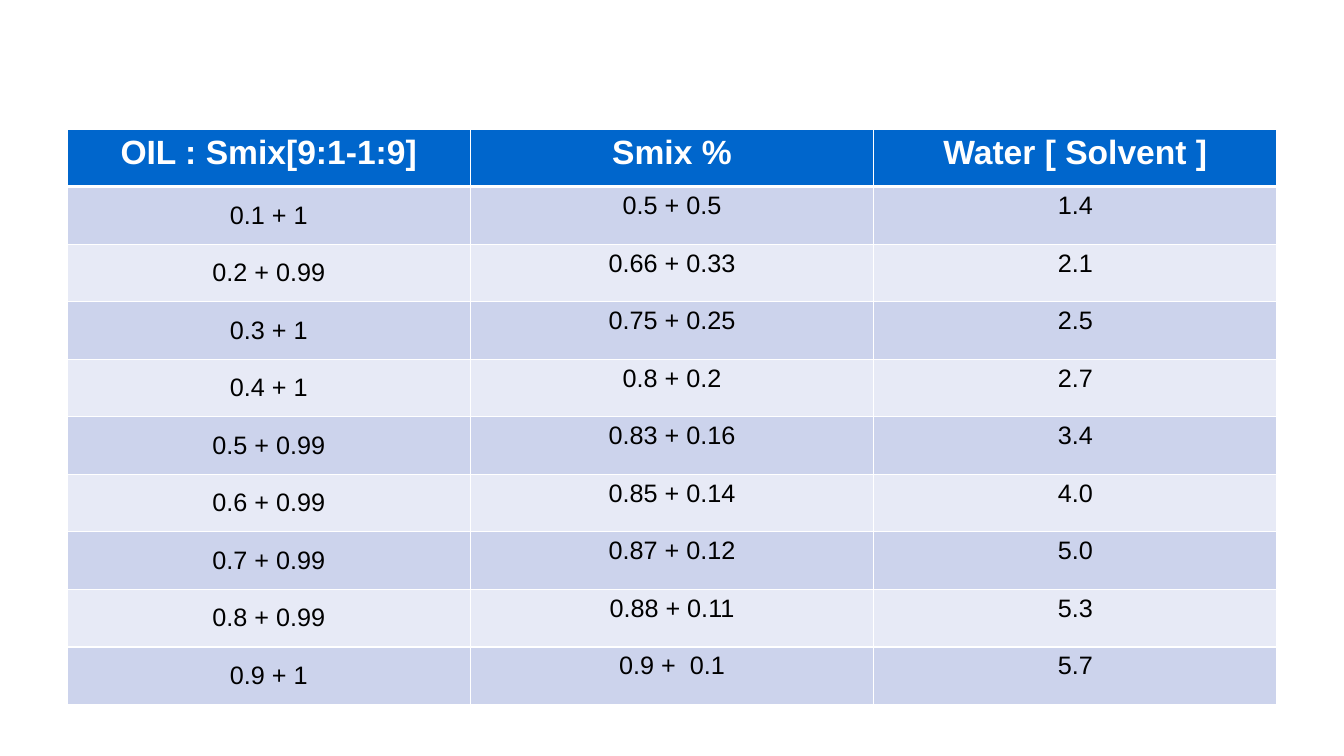
from lxml.etree import SubElement
from pptx import Presentation
from pptx.dml.color import RGBColor
from pptx.enum.text import MSO_ANCHOR, PP_ALIGN
from pptx.oxml.ns import qn
from pptx.util import Inches, Pt

# Content
HEADINGS = ("OIL : Smix[9:1-1:9]", "Smix %", "Water [ Solvent ]")
MIXTURES = [
    ("0.1 + 1", "0.5 + 0.5", "1.4"),
    ("0.2 + 0.99", "0.66 + 0.33", "2.1"),
    ("0.3 + 1", "0.75 + 0.25", "2.5"),
    ("0.4 + 1", "0.8 + 0.2", "2.7"),
    ("0.5 + 0.99", "0.83 + 0.16", "3.4"),
    ("0.6 + 0.99", "0.85 + 0.14", "4.0"),
    ("0.7 + 0.99", "0.87 + 0.12", "5.0"),
    ("0.8 + 0.99", "0.88 + 0.11", "5.3"),
    ("0.9 + 1", "0.9 +  0.1", "5.7"),
]
HEADER_FILL, BAND_FILLS = "0066CC", ("CCD3EC", "E7EAF6")
WHITE, BLACK = "FFFFFF", "000000"

# Grid
SLIDE_WIDTH, SLIDE_HEIGHT = Inches(13.33), Inches(7.5)
TABLE_WIDTH, TABLE_TOP = Inches(12), Inches(1.28)
ROW_HEIGHT = Inches(0.571)
THIN, THICK = 1, 3


def color(hex_code):
    return RGBColor.from_string(hex_code)


def add_border(cell, side, points):
    """Draw one side; call before the cell is filled, as the schema orders it."""
    line = SubElement(cell._tc.get_or_add_tcPr(), qn(f"a:ln{side}"), w=str(Pt(points)))
    fill = SubElement(line, qn("a:solidFill"))
    SubElement(fill, qn("a:srgbClr"), val=WHITE)


def format_cell(cell, text, row, column):
    is_header = row == 0
    widths = {"L": THIN, "R": THIN,
              "T": THICK if row == 1 else THIN,
              "B": THICK if is_header else THIN}
    for side, points in widths.items():
        add_border(cell, side, points)
    cell.fill.solid()
    cell.fill.fore_color.rgb = color(HEADER_FILL if is_header else BAND_FILLS[(row - 1) % 2])

    centred = column == 0 and not is_header
    cell.vertical_anchor = MSO_ANCHOR.MIDDLE if centred else MSO_ANCHOR.TOP
    cell.text_frame.text = text
    paragraph = cell.text_frame.paragraphs[0]
    paragraph.alignment = PP_ALIGN.CENTER
    font = paragraph.runs[0].font
    font.name = "Arial"
    font.size = Pt(24 if is_header else 18)
    font.bold = is_header
    font.color.rgb = color(WHITE if is_header else BLACK)


def main():
    presentation = Presentation()
    presentation.slide_width, presentation.slide_height = SLIDE_WIDTH, SLIDE_HEIGHT
    slide = presentation.slides.add_slide(presentation.slide_layouts[6])

    # Mixture table, centred across the slide
    records = [HEADINGS, *MIXTURES]
    mixtures = slide.shapes.add_table(
        len(records), len(HEADINGS), (SLIDE_WIDTH - TABLE_WIDTH) // 2, TABLE_TOP,
        TABLE_WIDTH, ROW_HEIGHT * len(records)).table
    for row, record in enumerate(records):
        mixtures.rows[row].height = ROW_HEIGHT
        for column, text in enumerate(record):
            format_cell(mixtures.cell(row, column), text, row, column)

    presentation.save("out.pptx")


if __name__ == "__main__":
    main()
